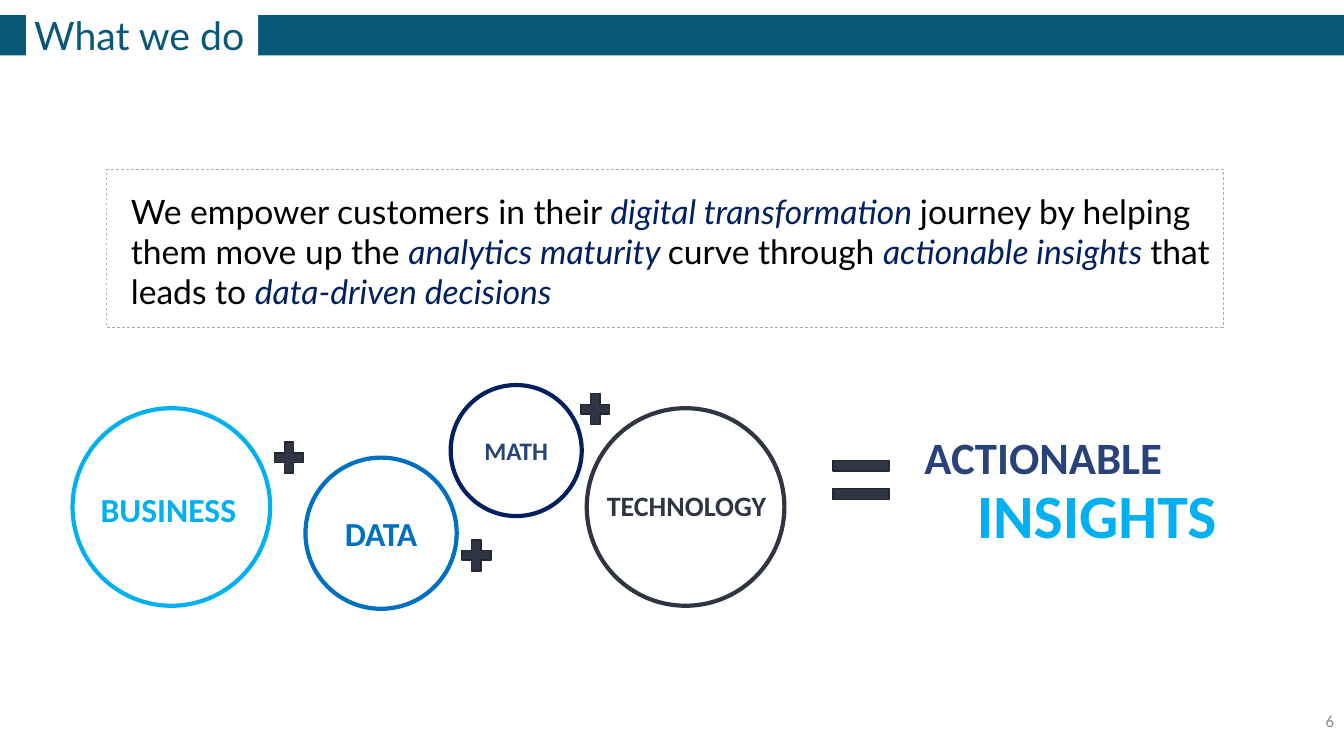
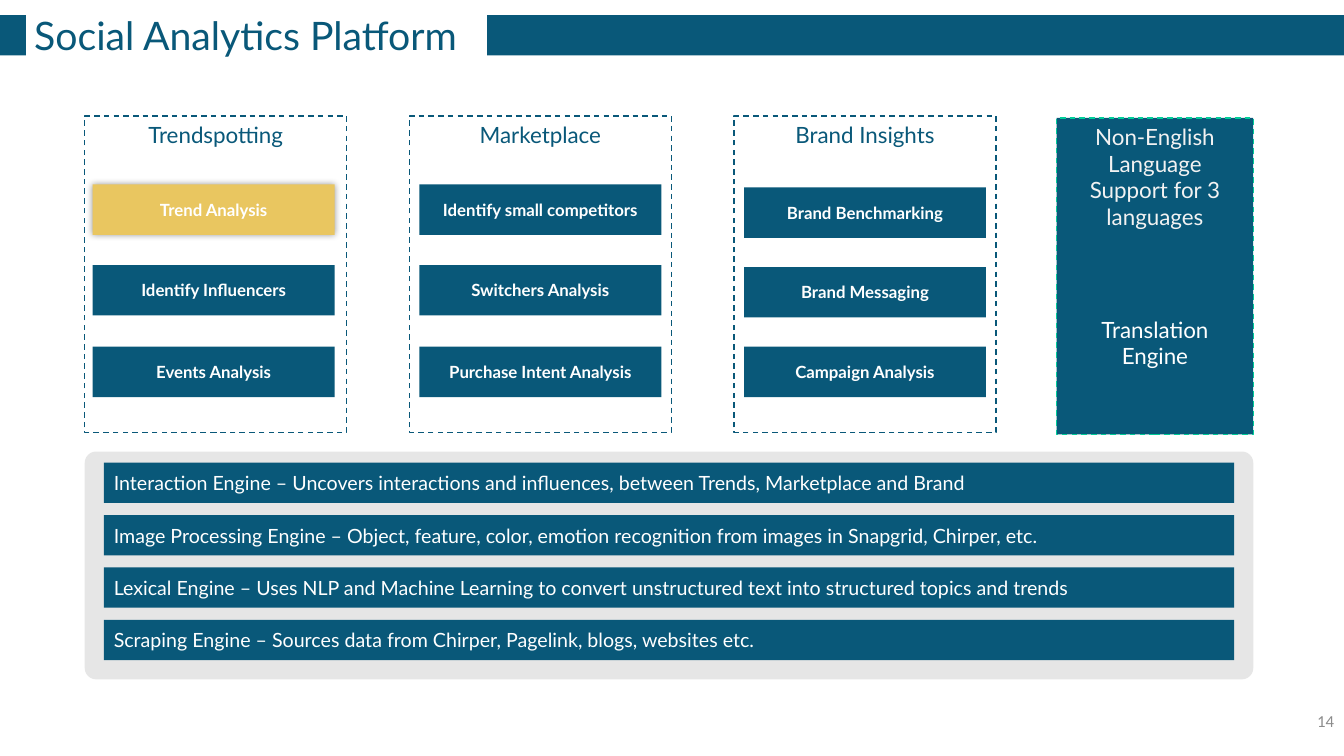
from lxml import etree
from pptx import Presentation
from pptx import util as u
from pptx.dml.color import RGBColor
from pptx.enum import dml, shapes, text
from pptx.oxml.ns import qn

PX = 9144  # 100 px to the inch
WIDE, HIGH = 1333, 750

TEAL = RGBColor(0x09, 0x58, 0x79)
WHITE = RGBColor(0xFF, 0xFF, 0xFF)
BLACK = RGBColor(0x00, 0x00, 0x00)
GREY = RGBColor(0x8C, 0x8C, 0x8C)
PALE = RGBColor(0xF2, 0xF2, 0xF2)
TRAY = RGBColor(0xE6, 0xE6, 0xE6)
FRAME = RGBColor(0xAF, 0xAB, 0xAB)
NAVY = RGBColor(0x00, 0x20, 0x60)
INDIGO = RGBColor(0x28, 0x43, 0x79)
BLUE = RGBColor(0x00, 0x70, 0xC0)
SKY = RGBColor(0x00, 0xB0, 0xF0)
SLATE = RGBColor(0x2F, 0x35, 0x42)
INK = RGBColor(0x23, 0x27, 0x31)
GREEN = RGBColor(0x00, 0xCC, 0x99)
GOLD = RGBColor(0xE9, 0xC6, 0x60)

KIND = shapes.MSO_SHAPE
LEFT, MID, RIGHT = text.PP_ALIGN.LEFT, text.PP_ALIGN.CENTER, text.PP_ALIGN.RIGHT
TOP, CENTER = text.MSO_ANCHOR.TOP, text.MSO_ANCHOR.MIDDLE


class Deck:
    head, body = "Lato", "Calibri"

    def __init__(self):
        self.show = Presentation()
        self.show.slide_width = WIDE * PX
        self.show.slide_height = HIGH * PX
        self.slide = None

    def page(self, title, width, number):
        """Start a slide with its band, title and page number."""
        self.slide = self.show.slides.add_slide(self.show.slide_layouts[6])
        self.shape(KIND.RECTANGLE, (0, 15, WIDE, 40), TEAL)
        tab = self.shape(KIND.RECTANGLE, (26, 11, width, 47), WHITE)
        self.words(tab, title, 28, TEAL, anchor=CENTER, inset=(8, 0))
        self.label((1033, 695, 300, 40), str(number), 12, GREY, font=self.body,
                   align=RIGHT, anchor=CENTER)

    def shape(self, kind, at, fill=None, line=None, width=1, dash=False, adjust=()):
        item = self.slide.shapes.add_shape(kind, *(n * PX for n in at))
        item.shadow.inherit = False
        for i, value in enumerate(adjust):
            item.adjustments[i] = value
        if fill is None:
            item.fill.background()
        else:
            item.fill.solid()
            item.fill.fore_color.rgb = fill
        if line is None:
            item.line.fill.background()
        else:
            item.line.color.rgb = line
            item.line.width = u.Pt(width)
            if dash:
                item.line.dash_style = dml.MSO_LINE.DASH
        return item

    def words(self, item, words, size, color, font=None, bold=False,
              align=LEFT, anchor=TOP, inset=(10, 5)):
        """Set the text of a shape and return its paragraph."""
        frame = item.text_frame
        frame.word_wrap = True
        frame.vertical_anchor = anchor
        frame.margin_left = frame.margin_right = inset[0] * PX
        frame.margin_top = frame.margin_bottom = inset[1] * PX
        return self.para(frame.paragraphs[0], words, size, color, font, bold, align)

    def para(self, para, words, size, color, font=None, bold=False, align=LEFT):
        para.alignment = align
        para.font.name = font or self.head
        para.font.size = u.Pt(size)
        para.font.bold = bold
        para.font.color.rgb = color
        if words:
            para.add_run().text = words
        return para

    def label(self, at, words, size, color, **style):
        item = self.slide.shapes.add_textbox(*(n * PX for n in at))
        return self.words(item, words, size, color, **style)

    def ring(self, x, y, size, color):
        return self.shape(KIND.OVAL, (x, y, size, size), line=color, width=3)

    def card(self, at, words, fill=TEAL):
        item = self.shape(KIND.RECTANGLE, at, fill)
        self.words(item, words, 12, WHITE, bold=True, align=MID, anchor=CENTER)
        return item

    def glow(self, item):
        """Give a shape a soft, even shadow."""
        effects = item.element.spPr.find(qn("a:effectLst"))
        outer = etree.SubElement(effects, qn("a:outerShdw"), blurRad=str(u.Pt(5)),
                                 dist="0", dir="0", algn="ctr", rotWithShape="0")
        black = etree.SubElement(outer, qn("a:srgbClr"), val="000000")
        etree.SubElement(black, qn("a:alpha"), val="40000")


def mission(deck):
    deck.page("What we do", 230, 6)
    para = deck.label((120, 184, 1093, 172), "", 24, BLACK)
    pairs = [
        ("We empower customers in their ", "digital transformation "),
        ("journey by helping them move up the ", "analytics maturity "),
        ("curve through ", "actionable insights "),
        ("that leads to ", "data-driven decisions"),
    ]
    for plain, stress in pairs:
        para.add_run().text = plain
        run = para.add_run()
        run.text = stress
        run.font.italic = True
        run.font.color.rgb = NAVY
    deck.shape(KIND.RECTANGLE, (106, 168, 1107, 157), line=FRAME, width=0.5, dash=True)

    deck.shape(KIND.MATH_EQUAL, (816, 454, 76, 44), SLATE, INK, adjust=(0.24, 0.4))
    for x, y in [(453, 530), (571, 385), (267, 433)]:
        deck.shape(KIND.MATH_PLUS, (x, y, 39, 42), SLATE, INK)

    style = dict(font=deck.body, bold=True)
    inner = dict(style, align=MID, anchor=CENTER)
    deck.words(deck.ring(303, 454, 150, BLUE), "DATA", 24, BLUE, **inner)
    deck.words(deck.ring(447, 382, 130, NAVY), "MATH", 18, INDIGO, **inner)
    deck.ring(582, 405, 196, SLATE)
    deck.ring(72, 405, 196, SKY)
    for at, words, size, color in [
        ((592, 480, 227, 44), "TECHNOLOGY", 20, SLATE),
        ((90, 480, 227, 50), "BUSINESS", 24, SKY),
        ((907, 421, 375, 64), "ACTIONABLE", 32, INDIGO),
        ((959, 468, 374, 84), "INSIGHTS", 44, SKY),
    ]:
        deck.label(at, words, size, color, **style)


def platform(deck):
    deck.page("Social Analytics Platform", 457, 14)
    deck.shape(KIND.ROUNDED_RECTANGLE, (84, 448, 1159, 226), TRAY, adjust=(0.05,))
    engines = [
        "Interaction Engine – Uncovers interactions and influences, between Trends, "
        "Marketplace and Brand",
        "Image Processing Engine – Object, feature, color, emotion recognition from "
        "images in Snapgrid, Chirper, etc.",
        "Lexical Engine – Uses NLP and Machine Learning to convert unstructured text "
        "into structured topics and trends",
        "Scraping Engine – Sources data from Chirper, Pagelink, blogs, websites etc.",
    ]
    for i, words in enumerate(engines):
        bar = deck.shape(KIND.RECTANGLE, (103, 459 + 52 * i, 1121, 40), TEAL)
        deck.words(bar, words, 14, WHITE, anchor=CENTER)

    panel = deck.shape(KIND.RECTANGLE, (1048, 117, 195, 314), TEAL, GREEN, dash=True)
    deck.words(panel, "Non-English Language Support for 3 languages", 16, PALE,
               align=MID, inset=(15, 5))
    para = panel.text_frame.add_paragraph()
    para.space_before = u.Pt(61)
    deck.para(para, "Translation Engine", 16, WHITE, align=MID)

    columns = [
        ("Trendspotting", 8, 183,
         ["Trend Analysis", "Identify Influencers", "Events Analysis"]),
        ("Marketplace", 10, 183,
         ["Identify small competitors", "Switchers Analysis", "Purchase Intent Analysis"]),
        ("Brand Insights", 10, 186,
         ["Brand Benchmarking", "Brand Messaging", "Campaign Analysis"]),
    ]
    last = 344
    for i, (title, indent, top, cards) in enumerate(columns):
        left = 84 + 322 * i
        frame = deck.shape(KIND.RECTANGLE, (left, 115, 260, 314), line=TEAL, dash=True)
        deck.words(frame, title, 16, TEAL, align=MID)
        for j, words in enumerate(cards):
            y = top + (last - top) * j // 2
            main = i == j == 0
            card = deck.card((left + indent, y, 240, 50), words, GOLD if main else TEAL)
            if main:
                deck.glow(card)


def main():
    deck = Deck()
    mission(deck)
    platform(deck)
    deck.show.save("out.pptx")


if __name__ == "__main__":
    main()
